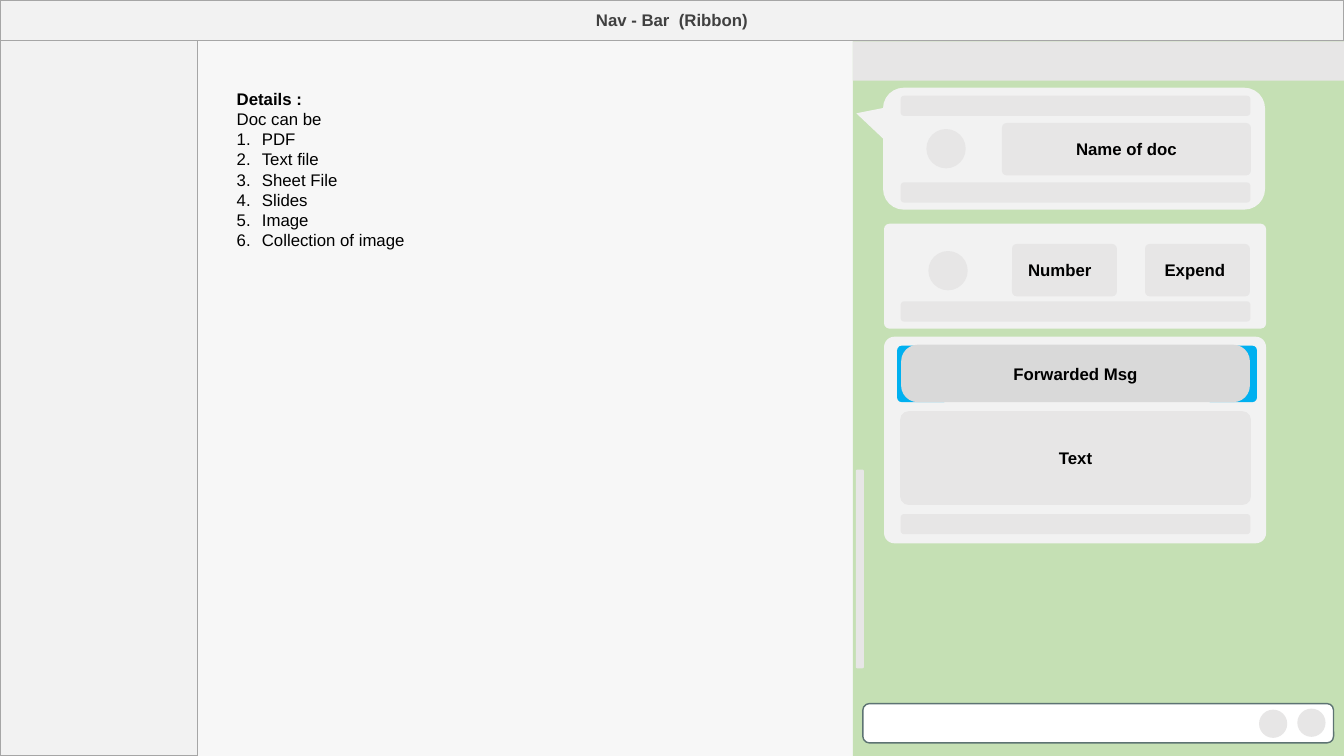
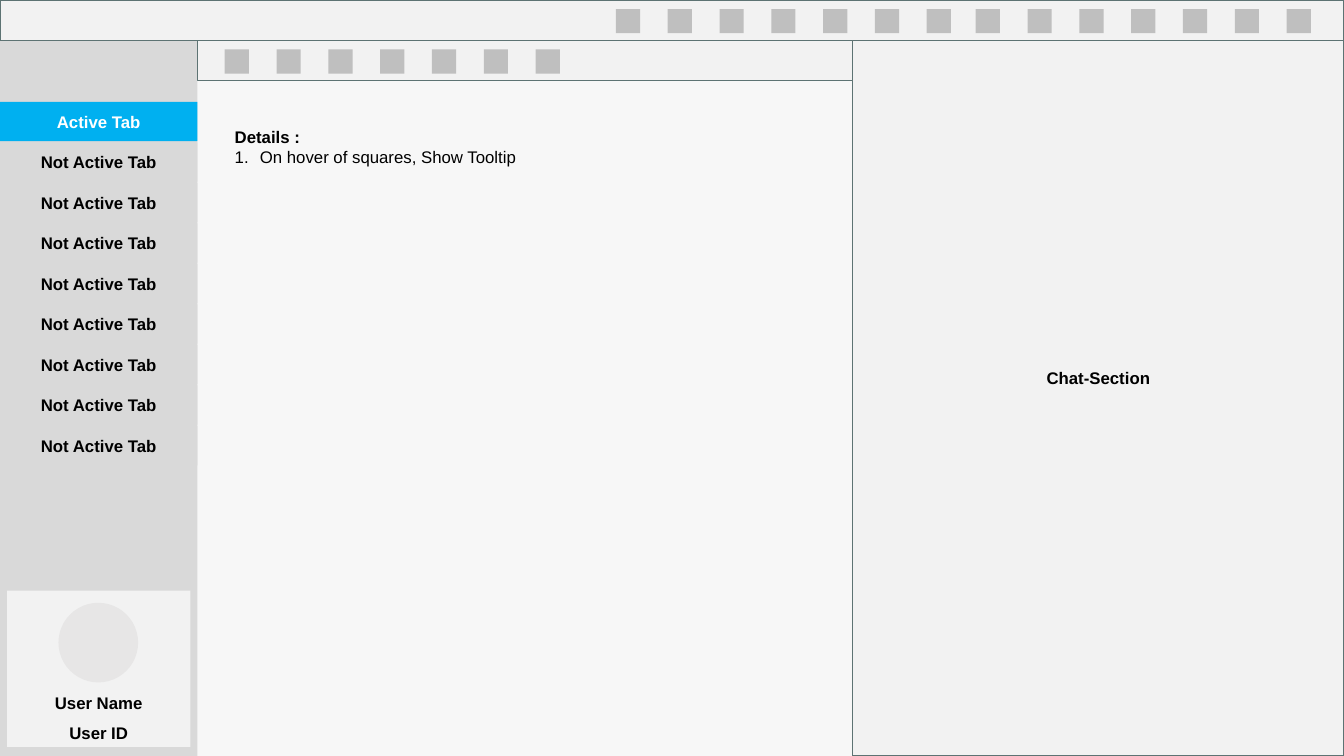
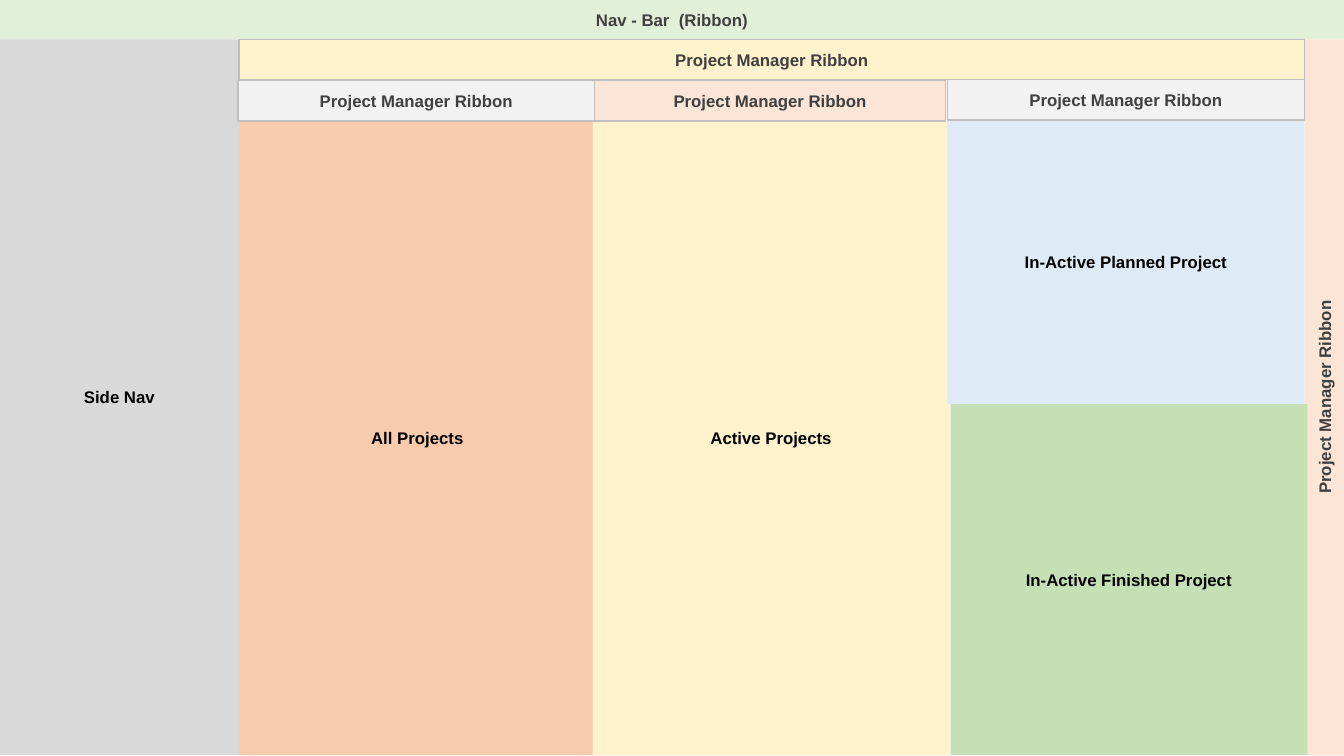
from dataclasses import dataclass

from lxml import etree
from pptx import Presentation
from pptx import util as u
from pptx.dml.color import RGBColor
from pptx.enum import shapes, text
from pptx.oxml.ns import qn


@dataclass(frozen=True)
class Theme:
    font: str = "Arial"
    size: float = 12
    border: float = 1
    page: str = "F7F7F7"
    ink: str = "000000"
    soft_ink: str = "404040"
    white: str = "FFFFFF"
    panel: str = "F2F2F2"
    block: str = "E7E6E6"
    side: str = "D9D9D9"
    square: str = "BFBFBF"
    rule: str = "A6A6A6"
    slate: str = "5D7373"
    accent: str = "00B0F0"
    green: str = "C5E0B4"
    pale_green: str = "E2F0D9"
    orange: str = "F8CBAD"
    pale_orange: str = "FBE5D6"
    yellow: str = "FFF2CC"
    blue: str = "DEEBF7"


T = Theme()
G = shapes.MSO_SHAPE
RECT, ROUND, OVAL = G.RECTANGLE, G.ROUNDED_RECTANGLE, G.OVAL
CENTER, LEFT = text.PP_ALIGN.CENTER, text.PP_ALIGN.LEFT

# Square grid cells, a tenth of an inch each
CELL = u.Inches(0.1)
COLS, ROWS = 133.33, 75
BAR = 4
SIDE_W = 19.6
CHAT_X = 84.6
CHAT_W = COLS - CHAT_X
BODY_H = ROWS - BAR


def box(s, x, y, w, h, fill=None, line=None, kind=RECT, adj=()):
    """Place a preset shape, a text box (kind "text") or the title, in cells."""
    frame = [round(n * CELL) for n in (x, y, w, h)]
    if kind == "text":
        return s.shapes.add_textbox(*frame)
    if kind == "title":
        sp = s.shapes.title
        sp.left, sp.top, sp.width, sp.height = frame
        s.shapes.element.append(sp.element)  # bring to front
    else:
        sp = s.shapes.add_shape(kind, *frame)
    sp.shadow.inherit = False
    sp.fill.solid()
    sp.fill.fore_color.rgb = RGBColor.from_string(fill)
    if line:
        sp.line.color.rgb = RGBColor.from_string(line)
        sp.line.width = u.Pt(T.border)
    else:
        sp.line.fill.background()
    for i, value in enumerate(adj):
        sp.adjustments[i] = value
    return sp


def write(sp, *lines, color=T.ink, align=CENTER, anchor=text.MSO_ANCHOR.MIDDLE,
          bold_lines=None, number_from=None, spacing=None, pad_right=0, vert=None):
    """Fill a shape; bold_lines counts from the top, number_from starts a list."""
    tf = sp.text_frame
    tf.word_wrap = True
    tf.auto_size = text.MSO_AUTO_SIZE.NONE
    tf.vertical_anchor = anchor
    tf.margin_right = u.Inches(0.1 + pad_right)
    if vert:
        sp.element.txBody.bodyPr.set("vert", vert)
    for i, line in enumerate(lines):
        p = tf.add_paragraph() if i else tf.paragraphs[0]
        p.alignment = align
        if spacing:
            p.line_spacing = spacing
        if number_from is not None and i >= number_from:
            pPr = p._p.get_or_add_pPr()
            pPr.set("marL", str(u.Inches(0.25)))
            pPr.set("indent", str(-u.Inches(0.25)))
            etree.SubElement(pPr, qn("a:buFont"), typeface="+mj-lt")
            etree.SubElement(pPr, qn("a:buAutoNum"), type="arabicPeriod")
        r = p.add_run()
        r.text = line
        r.font.name, r.font.size = T.font, u.Pt(T.size)
        r.font.bold = bold_lines is None or i < bold_lines
        r.font.color.rgb = RGBColor.from_string(color)


prs = Presentation()
prs.slide_width, prs.slide_height = round(COLS * CELL), ROWS * CELL
bg = prs.slide_master.background.fill
bg.solid()
bg.fore_color.rgb = RGBColor.from_string(T.page)
TITLE_ONLY, BLANK = prs.slide_layouts[5], prs.slide_layouts[6]
NOTES = dict(align=LEFT, anchor=text.MSO_ANCHOR.TOP, bold_lines=1)
NAV = "Nav - Bar  (Ribbon)"
RIBBON = "Project Manager Ribbon"

# Slide 1: chat messages
s = prs.slides.add_slide(TITLE_ONLY)
box(s, 0, BAR, SIDE_W, BODY_H, T.panel, T.rule)
box(s, CHAT_X, BAR, CHAT_W, BODY_H, T.green)
write(box(s, 0, 0, COLS, BAR, T.panel, T.rule, "title"), NAV, color=T.soft_ink)
write(box(s, 22.5, 8.3, 56, 17.2, kind="text"), "Details :", "Doc can be", "PDF",
      "Text file", "Sheet File", "Slides", "Image", "Collection of image",
      number_from=2, **NOTES)

bubble = box(s, 100.5, -4.2, 12.1, 37.9, T.panel,
             kind=G.ROUNDED_RECTANGULAR_CALLOUT, adj=(-0.29, 0.57, 0.17))
bubble.rotation = 90
for y, h in ((22.2, 10.4), (33.4, 20.5)):
    box(s, 87.7, y, 37.9, h, T.panel, kind=ROUND, adj=[0.05])
box(s, 85.6, 69.8, 46.7, 3.9, T.white, T.slate, ROUND)
box(s, CHAT_X, 4.1, CHAT_W, 3.9, T.block)
box(s, 84.9, 46.6, 0.8, 19.7, T.block, kind=ROUND)
for y in (9.5, 18.1, 29.9, 51):
    box(s, 89.35, y, 34.7, 2, T.block, kind=ROUND)
for x, y, d in ((91.9, 12.8, 3.9), (92.1, 24.9, 3.9),
                (124.9, 70.4, 2.8), (128.7, 70.3, 2.8)):
    box(s, x, y, d, d, T.block, kind=OVAL)
for x in (89, 119.6):
    box(s, x, 34.3, 5.1, 5.6, T.accent, kind=ROUND, adj=[0.09])
for label, x, y, w, h, fill, adj, pad in (
        ("Name of doc", 99.4, 12.2, 24.7, 5.2, T.block, 0.09, 0),
        ("Number", 100.4, 24.2, 10.4, 5.2, T.block, 0.09, 0.09),
        ("Expend", 113.6, 24.2, 10.4, 5.2, T.block, 0.09, 0.05),
        ("Forwarded Msg", 89.4, 34.2, 34.6, 5.7, T.side, 0.29, 0),
        ("Text", 89.3, 40.8, 34.8, 9.3, T.block, 0.09, 0)):
    write(box(s, x, y, w, h, fill, kind=ROUND, adj=[adj]), label, pad_right=pad)

# Slide 2: side tabs and toolbars
s = prs.slides.add_slide(BLANK)
box(s, 0, BAR, SIDE_W, BODY_H, T.side)
write(box(s, CHAT_X, 0, CHAT_W, ROWS, T.panel, T.slate), "Chat-Section")
box(s, 0, 0, COLS, BAR, T.panel, T.slate)
box(s, SIDE_W, BAR, CHAT_X - SIDE_W, BAR, T.panel, T.slate)
write(box(s, 22.3, 12.1, 30.9, 7.1, kind="text"), "Details :",
      "On hover of squares, Show Tooltip", number_from=1, **NOTES)

TAB_STEP, SQUARE_STEP = 4.02, 5.14
for i in range(9):
    tab = box(s, 0, 10.1 + i * TAB_STEP, SIDE_W, 3.9, T.side if i else T.accent)
    write(tab, "Not Active Tab" if i else "Active Tab",
          color=T.ink if i else T.white)
for x, y in ((22.3, BAR + 0.9), (61.1, 0.9), (96.8, 0.9)):
    for i in range(7):
        box(s, x + i * SQUARE_STEP, y, 2.4, 2.4, T.square)

box(s, 0.7, 58.6, 18.2, 15.5, T.panel)
box(s, 5.8, 59.8, 7.9, 7.9, T.block, kind=OVAL)
write(box(s, 2.1, 67.2, 15.4, 6.7, kind="text"), "User Name", "User ID",
      anchor=text.MSO_ANCHOR.TOP, spacing=1.5)

# Slide 3: project board
s = prs.slides.add_slide(TITLE_ONLY)
TOP, NAV_W, COL_W = 3.9, 23.7, 35.4
BOARD_Y, SPLIT_Y, END_Y = 11.9, 40.1, 74.9
ALL_X, ACTIVE_X, IDLE_X = NAV_W, 58.8, 94
EDGE_X = COLS - TOP
write(box(s, 0, TOP, NAV_W, END_Y - TOP, T.side), "Side Nav")
write(box(s, 0, 0, COLS, TOP, T.pale_green, kind="title"), NAV, color=T.soft_ink)
write(box(s, EDGE_X, TOP, TOP, END_Y - TOP, T.pale_orange), RIBBON,
      color=T.soft_ink, vert="vert270")
for label, x, y, end, fill in (
        ("All Projects", ALL_X, BOARD_Y, END_Y, T.orange),
        ("Active Projects", ACTIVE_X, BOARD_Y, END_Y, T.yellow),
        ("In-Active Planned Project", IDLE_X, BOARD_Y, SPLIT_Y, T.blue),
        ("In-Active Finished Project", IDLE_X + 0.3, SPLIT_Y, END_Y, T.green)):
    write(box(s, x, y, COL_W, end - y, fill), label)
for x, y, w, fill in ((NAV_W, TOP, EDGE_X - NAV_W, T.yellow),
                      (59, 8, 34.8, T.pale_orange),
                      (IDLE_X, 7.9, COL_W, T.panel),
                      (23.6, 8, COL_W, T.panel)):
    write(box(s, x, y, w, BAR, fill, T.square), RIBBON, color=T.soft_ink)

prs.save("out.pptx")
